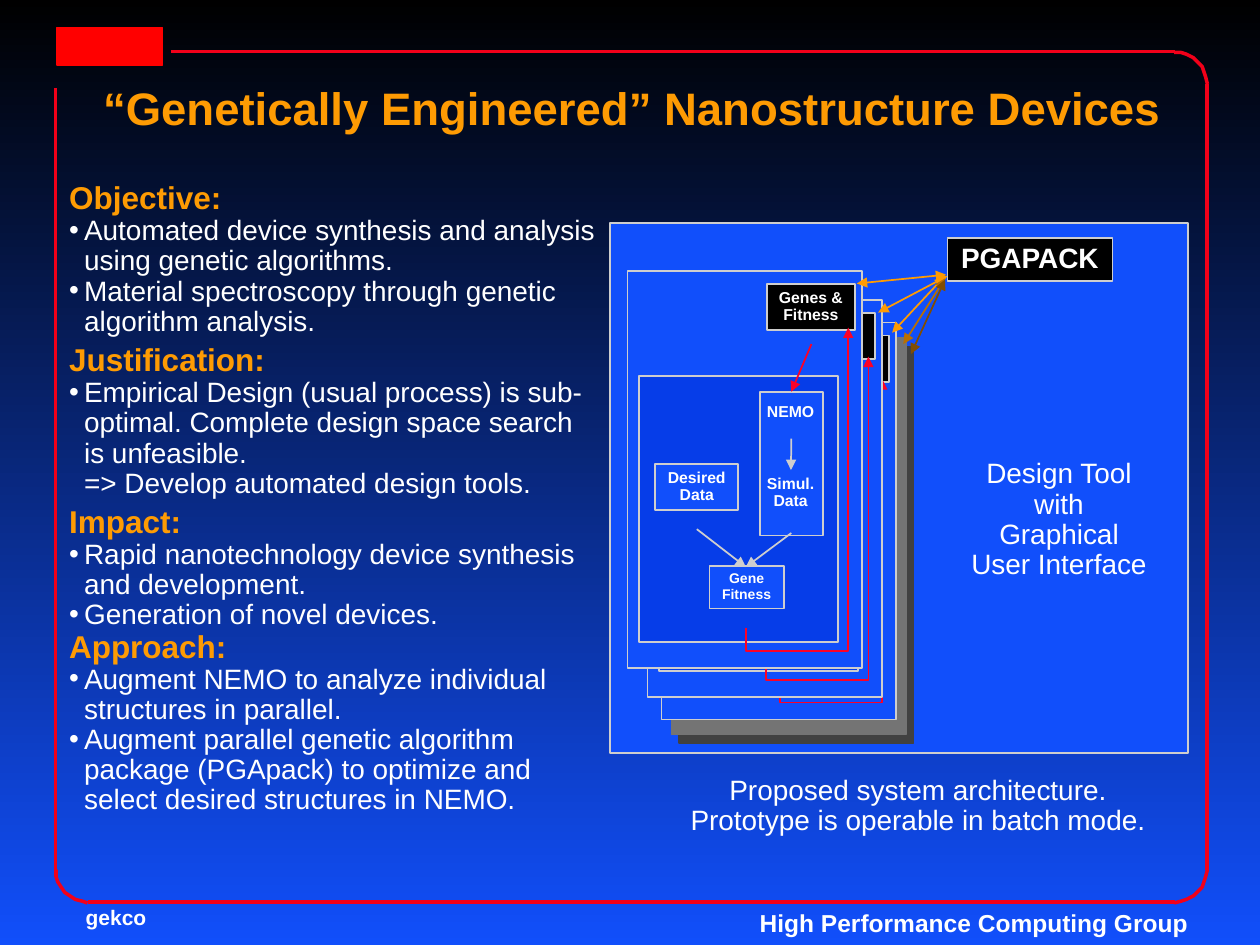
import math
from typing import NamedTuple

import pptx
import pptx.dml.color
import pptx.enum.shapes
import pptx.enum.text
import pptx.oxml.ns
import pptx.util
from lxml import etree

Pt = pptx.util.Pt
qn = pptx.oxml.ns.qn
ALIGN = pptx.enum.text.PP_ALIGN
CONNECTOR = pptx.enum.shapes.MSO_CONNECTOR

RED, ARROW_RED, ORANGE = "F20019", "FC0128", "FE9B03"
WHITE, BLACK, SILVER = "FFFFFF", "000000", "CECECE"
BLUE, DEEP_BLUE = "114FFB", "063DE8"


class Box(NamedTuple):
    x: float
    y: float
    w: float
    h: float
    fill: str | None = None
    line: str = SILVER
    lines: tuple[str, ...] = ()
    size: float = 9
    bold: bool = True


class Arrow(NamedTuple):
    x1: float
    y1: float
    x2: float
    y2: float
    color: str = SILVER
    width: float = 1
    head: bool = False
    tail: bool = True


class Section(NamedTuple):
    heading: str
    bullets: tuple[str, ...]
    gap: float = 0


def rgb(color: str) -> pptx.dml.color.RGBColor:
    return pptx.dml.color.RGBColor.from_string(color)


def add_run(p, text: str, size: float, color: str, bold: bool) -> None:
    r = p.add_run()
    r.text = text
    r.font.name, r.font.size, r.font.bold = "Arial", Pt(size), bold
    r.font.color.rgb = rgb(color)


def set_frame(tf, wrap: bool, inset_x: float = 7.2, inset_y: float = 3.6) -> None:
    tf.word_wrap = wrap
    tf.auto_size = pptx.enum.text.MSO_AUTO_SIZE.SHAPE_TO_FIT_TEXT
    tf.vertical_anchor = pptx.enum.text.MSO_ANCHOR.TOP
    tf.margin_left = tf.margin_right = Pt(inset_x)
    tf.margin_top = tf.margin_bottom = Pt(inset_y)


def next_paragraph(tf, first: bool, spacing: float = 0.9):
    p = tf.paragraphs[0] if first else tf.add_paragraph()
    p.line_spacing = spacing
    return p


def add_box(s, box: Box) -> None:
    """A filled rectangle, or a plain text box when there is no fill."""
    frame = [Pt(v) for v in box[:4]]
    if box.fill:
        sp = s.shapes.add_shape(pptx.enum.shapes.MSO_SHAPE.RECTANGLE, *frame)
        sp.shadow.inherit = False
        sp.fill.solid()
        sp.fill.fore_color.rgb = rgb(box.fill)
        sp.line.color.rgb = rgb(box.line)
        sp.line.width = Pt(1)
    else:
        sp = s.shapes.add_textbox(*frame)
    if box.lines:
        # Narrow side insets leave every label room on its line
        set_frame(sp.text_frame, wrap=False, inset_x=2)
    for i, text in enumerate(box.lines):
        p = next_paragraph(sp.text_frame, i == 0)
        p.alignment = ALIGN.CENTER
        add_run(p, text, box.size, WHITE, box.bold)


def add_arrow(s, a: Arrow, kind=CONNECTOR.STRAIGHT):
    c = s.shapes.add_connector(kind, Pt(a.x1), Pt(a.y1), Pt(a.x2), Pt(a.y2))
    c.line.color.rgb = rgb(a.color)
    c.line.width = Pt(a.width)
    ln = c.element.spPr.find(qn("a:ln"))
    for tag, shown in (("a:headEnd", a.head), ("a:tailEnd", a.tail)):
        if shown:
            etree.SubElement(ln, qn(tag), type="triangle")
    etree.SubElement(c.element.spPr, qn("a:effectLst"))
    return c


def add_feedback(s, x: float, y: float, dx: float = 58.3, rise: float = 171.4) -> None:
    """Elbow arrow that dips below its start, then climbs on the right."""
    cx, cy = x + dx / 2, y - rise / 2
    c = add_arrow(s, Arrow(cx + rise / 2, cy + dx / 2, cx - rise / 2, cy - dx / 2, ARROW_RED),
                  CONNECTOR.ELBOW)
    spPr = c.element.spPr
    spPr.find(qn("a:xfrm")).set("rot", str(90 * 60000))
    av = spPr.find(qn("a:prstGeom")).find(qn("a:avLst"))
    etree.SubElement(av, qn("a:gd"), name="adj1", fmla="val -7800")


def add_corner(s, cx: float, cy: float, start: int, radius: float = 18.6) -> None:
    angles = [math.radians(start + 90 * i / 8) for i in range(9)]
    points = [(cx + radius * math.cos(t), cy + radius * math.sin(t)) for t in angles]
    builder = s.shapes.build_freeform(*points[0], scale=float(Pt(1)))
    builder.add_line_segments(points[1:], close=False)
    sp = builder.convert_to_shape()
    sp.shadow.inherit = False
    sp.fill.background()
    sp.line.color.rgb = rgb(RED)
    sp.line.width = Pt(2)


def add_sections(s, sections: list[Section]) -> None:
    tf = s.shapes.add_textbox(Pt(32.4), Pt(100.8), Pt(316.1), Pt(369.4)).text_frame
    set_frame(tf, wrap=True)
    for i, section in enumerate(sections):
        for j, text in enumerate((section.heading, *section.bullets)):
            p = next_paragraph(tf, i == j == 0)
            pPr = p._p.get_or_add_pPr()
            pPr.set("marL", str(Pt(8.6)))
            pPr.set("indent", str(-Pt(8.6)))
            if j == 0:
                if section.gap:
                    p.space_before = Pt(section.gap)
                add_run(p, text, 18, ORANGE, True)
                continue
            color = etree.SubElement(pPr, qn("a:buClr"))
            etree.SubElement(color, qn("a:srgbClr"), val=WHITE)
            etree.SubElement(pPr, qn("a:buFont"), typeface="Arial")
            etree.SubElement(pPr, qn("a:buChar"), char="•")
            for k, line in enumerate(text.split("\n")):
                if k:
                    p.add_line_break()
                add_run(p, line, 16, WHITE, False)


SECTIONS = [
    Section("Objective:", ("Automated device synthesis and analysis using genetic algorithms.",
                           "Material spectroscopy through genetic algorithm analysis.")),
    Section("Justification:", ("Empirical Design (usual process) is sub-optimal. Complete design "
                               "space search is unfeasible.\n=> Develop automated design tools.",), 4),
    Section("Impact:", ("Rapid nanotechnology device synthesis and development.",
                        "Generation of novel devices."), 4),
    Section("Approach:", ("Augment NEMO to analyze individual structures in parallel.",
                          "Augment parallel genetic algorithm package (PGApack) to optimize and "
                          "select desired structures in NEMO.")),
]
CARD_W, CARD_H = 133.9, 226.8
CARDS = [(378, 184.3), (370.1, 171.4), (358.6, 154.8)]  # back to front

prs = pptx.Presentation()
prs.slide_width, prs.slide_height = Pt(720), Pt(540)
s = prs.slides.add_slide(prs.slide_layouts[6])

# Background
bg = s.background.fill
bg.gradient()
bg.gradient_angle = 270
for stop, color, position in zip(bg.gradient_stops, (BLACK, BLUE), (0, 1)):
    stop.color.rgb = rgb(color)
    stop.position = position

# Red frame, emblem and footer
LEFT, TOP, RIGHT, BOTTOM, R = 31.7, 29.5, 689.8, 515.5, 18.6
for ends in ((RIGHT, BOTTOM - R, RIGHT, TOP + R), (RIGHT - R, TOP, 97.9, TOP),
             (LEFT, 50.4, LEFT, BOTTOM - R), (LEFT + R, BOTTOM, RIGHT - R, BOTTOM)):
    add_arrow(s, Arrow(*ends, RED, 2, tail=False))
add_corner(s, RIGHT - R, BOTTOM - R, 0)
add_corner(s, RIGHT - R, TOP + R, 270)
add_corner(s, LEFT + R, BOTTOM - R, 90)
add_box(s, Box(32.4, 15.8, 60.5, 21.6, "FF0000", "FF0000"))
add_box(s, Box(41.8, 514.8, 49, 33.1, lines=("gekco",), size=12))
add_box(s, Box(427, 517, 259.2, 22.3, lines=("High Performance Computing Group",), size=14))

# Title and text column
add_sections(s, SECTIONS)
tf = s.shapes.add_textbox(Pt(37.4), Pt(49), Pt(648), Pt(29.5)).text_frame
set_frame(tf, True, 3.6, 1.44)
p = next_paragraph(tf, True, 0.85)
p.alignment = ALIGN.CENTER
add_run(p, "“Genetically Engineered” Nanostructure Devices", 26, ORANGE, True)

# Architecture panel and stacked cards
add_box(s, Box(348.5, 127.4, 330.5, 303.1, BLUE))
add_box(s, Box(541.4, 136.1, 94.3, 24.5, BLACK, lines=("PGAPACK",), size=16))
for x, y, gray in ((388.1, 198, "414141"), (383.8, 193, "747474")):
    add_box(s, Box(x, y, CARD_W, CARD_H, gray, gray))
for i, (x, y) in enumerate(CARDS):
    add_box(s, Box(x, y, CARD_W, CARD_H, BLUE))
    add_box(s, Box(x + 79.6, y + 7.4, 50.4, 26.6, BLACK, lines=("Genes &", "Fitness")))
    if i:
        add_box(s, Box(x + 6.6, y + 60, 113.8, 151.9, DEEP_BLUE))
    add_feedback(s, x + 67.8, y + 203.8)

# Front card contents and captions
for box in (
    Box(405.4, 323.3, 42.5, 24.5, BLUE, lines=("Gene", "Fitness"), size=8),
    Box(374.4, 265, 47.5, 26.6, BLUE, lines=("Desired", "Data")),
    Box(434.2, 223.9, 36, 82.1, BLUE),
    Box(431.3, 227.5, 41, 17.3, lines=("NEMO",)),
    Box(431.3, 268.6, 41, 26.6, lines=("Simul.", "Data")),
    Box(547.9, 259.2, 114.5, 76.3, size=16, bold=False,
        lines=("Design Tool", "with", "Graphical", "User Interface")),
    Box(387.4, 439.9, 274.3, 41.8, size=16, bold=False,
        lines=("Proposed system architecture.", "Prototype is operable in batch mode.")),
):
    add_box(s, box)

# Data flow, then links from the cards to PGAPACK
for arrow in (
    Arrow(452.2, 250.6, 452, 268.6),
    Arrow(398.2, 302.4, 426.2, 324),
    Arrow(452.2, 304.6, 426.2, 324),
    Arrow(463.7, 196.6, 452.2, 223.9, ARROW_RED),
    Arrow(540.7, 157, 489.6, 162, ORANGE, head=True),
    Arrow(541.4, 157.7, 501.8, 178.6, ORANGE, head=True),
    Arrow(540, 157.7, 509.8, 190.1, ORANGE, head=True),
    Arrow(540, 159.1, 516.2, 196.6, "B96F01", head=True),
    Arrow(540, 159.8, 520.6, 202.3, "814D01", head=True),
):
    add_arrow(s, arrow)

prs.save("out.pptx")
